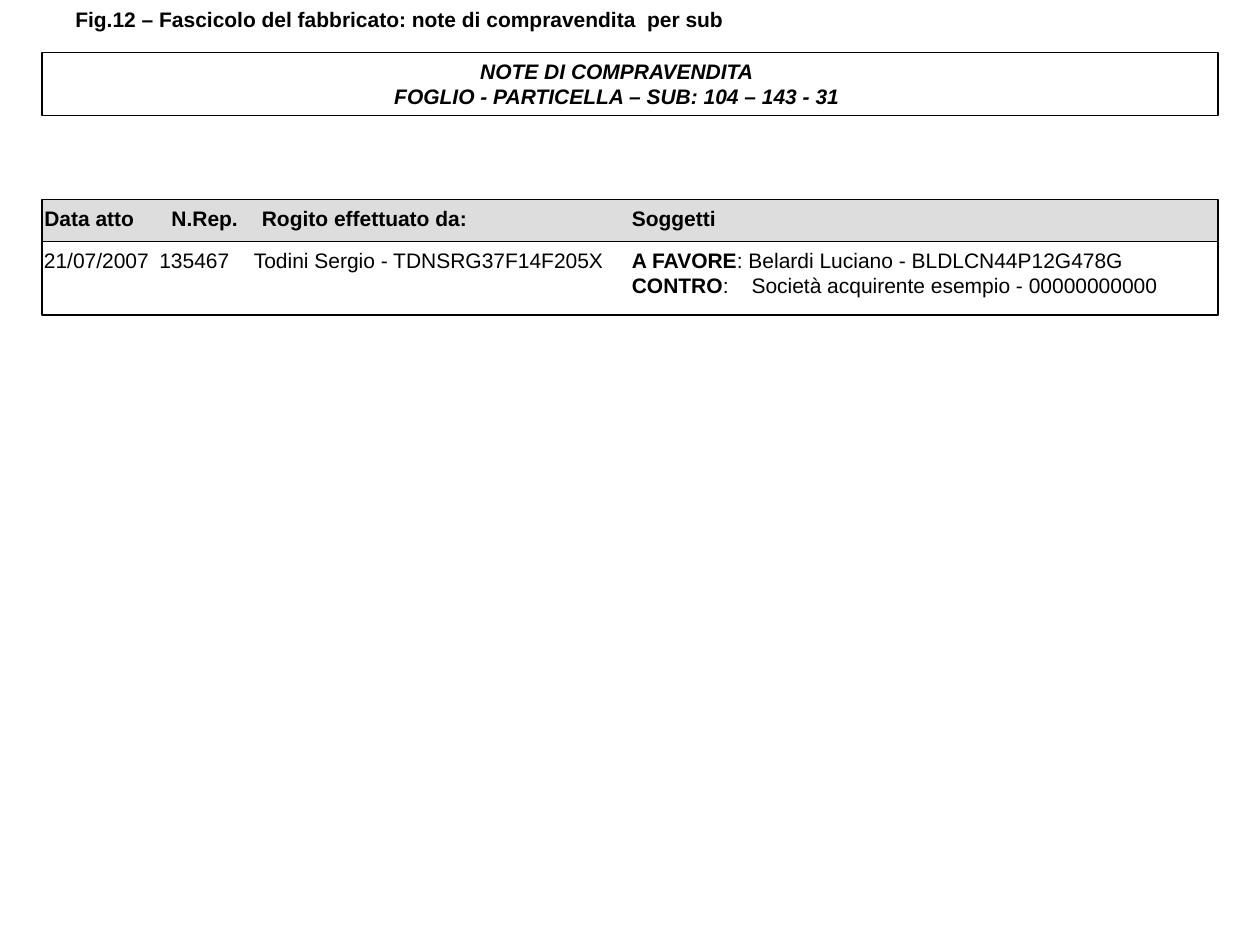
from dataclasses import dataclass

from lxml.etree import SubElement
from pptx import Presentation
from pptx.dml.color import RGBColor
from pptx.enum.shapes import MSO_SHAPE
from pptx.enum.text import MSO_AUTO_SIZE, PP_ALIGN
from pptx.oxml.ns import qn
from pptx.shapes.shapetree import GroupShapes, SlideShapes
from pptx.text.text import _Paragraph as Paragraph
from pptx.util import Inches, Length, Pt

BLACK = RGBColor(0x00, 0x00, 0x00)
WHITE = RGBColor(0xFF, 0xFF, 0xFF)
GREY = RGBColor(0xDD, 0xDD, 0xDD)

SLIDE_WIDTH, SLIDE_HEIGHT = Inches(10), Inches(7.5)
GRID_COLUMNS = 120
FRAME_LEFT, FRAME_WIDTH = 4, 112
TITLE_ROW, HEADER_ROW, RECORD_ROW = 5, 19, 23
DATE, NUMBER, NOTARY, PARTIES = 3, 14, 23, 59
LINE_HEIGHT, DOUBLE_HEIGHT = 3.6, 6

Shapes = SlideShapes | GroupShapes


@dataclass(frozen=True)
class Label:
    text: str
    column: float
    row: float
    width: float
    bold: bool = False
    italic: bool = False
    align: PP_ALIGN = PP_ALIGN.LEFT
    height: float = LINE_HEIGHT
    wrap: bool = True
    space_before: float = 7.5


@dataclass(frozen=True)
class Band:
    row: float
    height: float
    fill: RGBColor


@dataclass(frozen=True)
class Party:
    role: str
    detail: str


CAPTION = Label("Fig.12 – Fascicolo del fabbricato: note di compravendita  per sub", 6, 0, 73, bold=True)
TITLE = Label(
    "NOTE DI COMPRAVENDITA\nFOGLIO - PARTICELLA – SUB: 104 – 143 - 31",
    36.25, TITLE_ROW, 45, bold=True, italic=True, align=PP_ALIGN.CENTER,
    height=DOUBLE_HEIGHT, wrap=False, space_before=0,
)
HEADERS = [
    Label("Data atto", DATE, HEADER_ROW, 11, bold=True, align=PP_ALIGN.CENTER),
    Label("Soggetti", PARTIES, HEADER_ROW, 12, bold=True),
    Label("N.Rep.", NUMBER, HEADER_ROW, 11, bold=True, align=PP_ALIGN.CENTER),
    Label("Rogito effettuato da: ", NOTARY, HEADER_ROW, 24, bold=True, align=PP_ALIGN.CENTER),
]
RECORD = [
    Label("Todini Sergio - TDNSRG37F14F205X", NOTARY, RECORD_ROW, 36),
    Label("21/07/2007", DATE, RECORD_ROW, 14),
    Label("135467", NUMBER, RECORD_ROW, 11),
]
PARTIES_LABEL = Label("", PARTIES, RECORD_ROW, 59, height=DOUBLE_HEIGHT)
PARTY_LINES = [
    Party("A FAVORE", ": Belardi Luciano - BLDLCN44P12G478G"),
    Party("CONTRO", ":\tSocietà acquirente esempio - 00000000000"),
]
PARTY_TAB = 11.4


def grid(units: float) -> Length:
    return Length(round(SLIDE_WIDTH * units / GRID_COLUMNS))


def draw_band(shapes: Shapes, band: Band) -> None:
    frame = shapes.add_shape(
        MSO_SHAPE.RECTANGLE, grid(FRAME_LEFT), grid(band.row), grid(FRAME_WIDTH), grid(band.height)
    )
    frame.shadow.inherit = False
    frame.fill.solid()
    frame.fill.fore_color.rgb = band.fill
    frame.line.color.rgb = BLACK
    frame.line.width = Pt(0.75)


def draw_label(shapes: Shapes, label: Label) -> Paragraph:
    box = shapes.add_textbox(grid(label.column), grid(label.row), grid(label.width), grid(label.height))
    box.text_frame.word_wrap = label.wrap
    box.text_frame.auto_size = MSO_AUTO_SIZE.SHAPE_TO_FIT_TEXT
    box.text_frame.text = label.text
    for para in box.text_frame.paragraphs:
        para.alignment = label.align
        para.space_before = Pt(label.space_before)
        para.font.name = "Arial"
        para.font.size = Pt(12)
        para.font.bold = label.bold
        para.font.italic = label.italic
        para.font.color.rgb = BLACK
    return box.text_frame.paragraphs[0]


def add_tab_stop(para: Paragraph, position: Length) -> None:
    properties = para._p.get_or_add_pPr()
    stops = SubElement(properties, qn("a:tabLst"))
    SubElement(stops, qn("a:tab"), pos=str(position), algn="l")
    properties.insert(list(properties).index(properties.find(qn("a:defRPr"))), stops)


def draw_parties(shapes: Shapes, label: Label, parties: list[Party]) -> None:
    para = draw_label(shapes, label)
    add_tab_stop(para, grid(PARTY_TAB))
    for index, party in enumerate(parties):
        if index:
            para.add_line_break()
        for text, bold in ((party.role, True), (party.detail, False)):
            span = para.add_run()
            span.text = text
            span.font.name = "Arial"
            span.font.size = Pt(12)
            span.font.color.rgb = BLACK
            span.font.bold = bold


def main() -> None:
    deck = Presentation()
    deck.slide_width, deck.slide_height = SLIDE_WIDTH, SLIDE_HEIGHT
    page = deck.slides.add_slide(deck.slide_layouts[6])
    draw_label(page.shapes, CAPTION)
    draw_band(page.shapes, Band(TITLE_ROW, 6, WHITE))
    draw_label(page.shapes, TITLE)
    draw_band(page.shapes, Band(HEADER_ROW, 4, GREY))
    for header in HEADERS:
        draw_label(page.shapes, header)
    record = page.shapes.add_group_shape().shapes
    draw_band(record, Band(RECORD_ROW, 7, WHITE))
    for label in RECORD:
        draw_label(record, label)
    draw_parties(record, PARTIES_LABEL, PARTY_LINES)
    deck.save("out.pptx")


if __name__ == "__main__":
    main()
